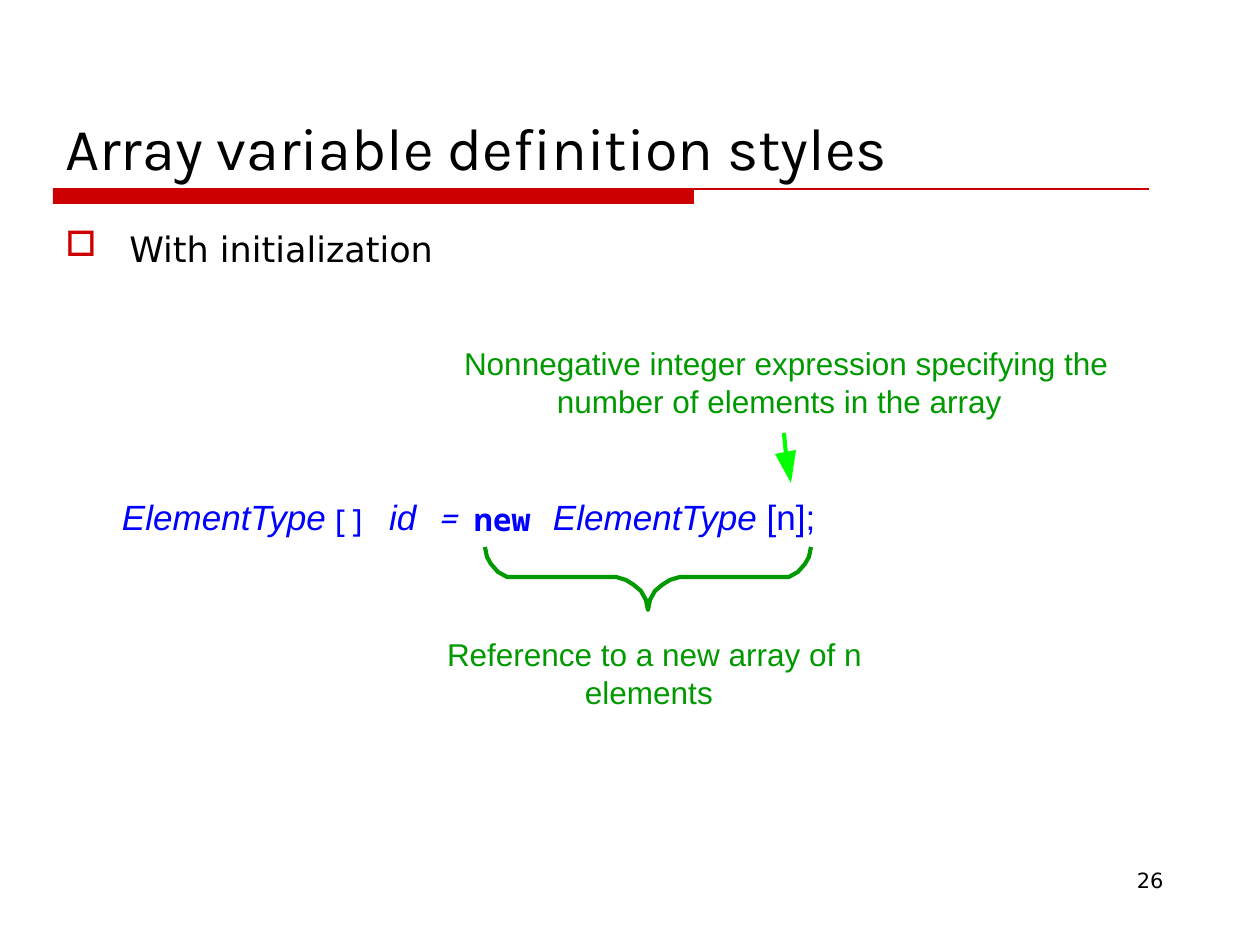
import pptx
import pptx.util
import pptx.dml.color
import pptx.enum.shapes
import pptx.enum.text
import lxml.etree

Pt = pptx.util.Pt
Align = pptx.enum.text.PP_ALIGN
Fit = pptx.enum.text.MSO_AUTO_SIZE
px = pptx.util.Inches(1) / 126

theme = {
    "ink": "000000", "red": "CC0000", "blue": "0000FF",
    "green": "009900", "lime": "00FF00",
    "title": {"name": "Karla", "size": Pt(34)},
    "body": {"name": "DejaVu Sans", "size": Pt(20)},
    "page": {"name": "DejaVu Sans", "size": Pt(12)},
    "type": {"name": "Arial", "size": Pt(20), "italic": True},
    "size": {"name": "Arial", "size": Pt(20), "italic": False},
    "mark": {"name": "Noto Sans Mono", "size": Pt(18)},
    "equal": {"name": "Noto Sans Mono", "size": Pt(18), "italic": True},
    "key": {"name": "Noto Sans Mono", "size": Pt(18), "bold": True},
    "note": {"name": "Arial", "size": Pt(18)},
}

deck = pptx.Presentation()
deck.slide_width = round(1260 * px)
deck.slide_height = round(945 * px)
slide = deck.slides.add_slide(deck.slide_layouts[6])
shapes = slide.shapes


def tint(name):
    return pptx.dml.color.RGBColor.from_string(theme[name])


def write(box, runs, color, tight=False):
    area = shapes.add_textbox(*[round(n * px) for n in box])
    frame = area.text_frame
    frame.word_wrap = not tight
    if tight:
        frame.auto_size = Fit.SHAPE_TO_FIT_TEXT
        for side in ("left", "top", "right", "bottom"):
            setattr(frame, "margin_" + side, 0)
    for text, style in runs:
        run = frame.paragraphs[0].add_run()
        run.text = text
        for key, value in theme[style].items():
            setattr(run.font, key, value)
        run.font.color.rgb = tint(color)
    return frame


bar = shapes.add_shape(pptx.enum.shapes.MSO_SHAPE.RECTANGLE,
                       *[round(n * px) for n in (53, 189, 641, 15)])
bar.shadow.inherit = False
bar.fill.solid()
bar.fill.fore_color.rgb = tint("red")
bar.line.fill.background()

lines = [
    ((53, 189, 1149, 189), "red", 0.75),
    ((784, 433, 786, 454), "lime", 2.38),
]
for ends, color, width in lines:
    line = shapes.add_connector(pptx.enum.shapes.MSO_CONNECTOR.STRAIGHT,
                                *[round(n * px) for n in ends])
    line.line.color.rgb = tint(color)
    line.line.width = Pt(width)
    props = line._element.spPr
    lxml.etree.SubElement(props, pptx.oxml.ns.qn("a:effectLst"))

page = write((903, 861, 273, 66), [("26", "page")], "ink")
page.paragraphs[0].alignment = Align.RIGHT

title = write((53, 21, 1134, 168),
              [("Array variable definition styles", "title")], "ink")
title.vertical_anchor = pptx.enum.text.MSO_ANCHOR.BOTTOM

body = write((53, 221, 1187, 703), [("With initialization", "body")], "ink")
item = body.paragraphs[0]
item.alignment = Align.JUSTIFY
item.space_before = Pt(5)
props = item._p.get_or_add_pPr()
props.set("marL", str(round(64 * px)))
props.set("indent", str(round(-64 * px)))
color = lxml.etree.SubElement(props, pptx.oxml.ns.qn("a:buClr"))
lxml.etree.SubElement(color, pptx.oxml.ns.qn("a:srgbClr"), val=theme["red"])
lxml.etree.SubElement(props, pptx.oxml.ns.qn("a:buChar"), char="□")

code = [
    ((122, 495, 207, 42), [("ElementType", "type")]),
    ((330, 501, 10, 38), [("[", "mark")]),
    ((349, 501, 10, 38), [("]", "mark")]),
    ((389, 495, 47, 42), [("id", "type")]),
    ((437, 499, 26, 38), [("=", "equal")]),
    ((474, 500, 74, 38), [("new", "key")]),
    ((553, 495, 265, 42), [("ElementType ", "type"), ("[n];", "size")]),
]
for box, runs in code:
    write(box, runs, "blue", tight=True)

notes = [
    ((464, 344, 689, 38), "Nonnegative integer expression specifying the"),
    ((557, 382, 480, 38), "number of elements in the array"),
    ((447, 635, 435, 38), "Reference to a new array of n"),
    ((585, 673, 137, 38), "elements"),
]
for box, text in notes:
    write(box, [(text, "note")], "green", tight=True)

tip = [(796, 450), (791, 483), (775, 454)]
half = [(163, 547), (161, 557), (157, 564), (150, 572), (141, 577),
        (131, 577), (32, 577), (22, 580), (14, 585), (7, 591), (2, 600)]
mid = 648
brace = [(mid + x, y) for x, y in half] + [(mid, 610)]
brace += [(mid - x, y) for x, y in reversed(half)]

for points, closed in ((tip, True), (brace, False)):
    path = shapes.build_freeform(*points[0], scale=px)
    path.add_line_segments(points[1:], close=closed)
    form = path.convert_to_shape()
    form.shadow.inherit = False
    if closed:
        form.fill.solid()
        form.fill.fore_color.rgb = tint("lime")
        form.line.fill.background()
    else:
        form.fill.background()
        form.line.color.rgb = tint("green")
        form.line.width = Pt(2.38)

deck.save("out.pptx")
